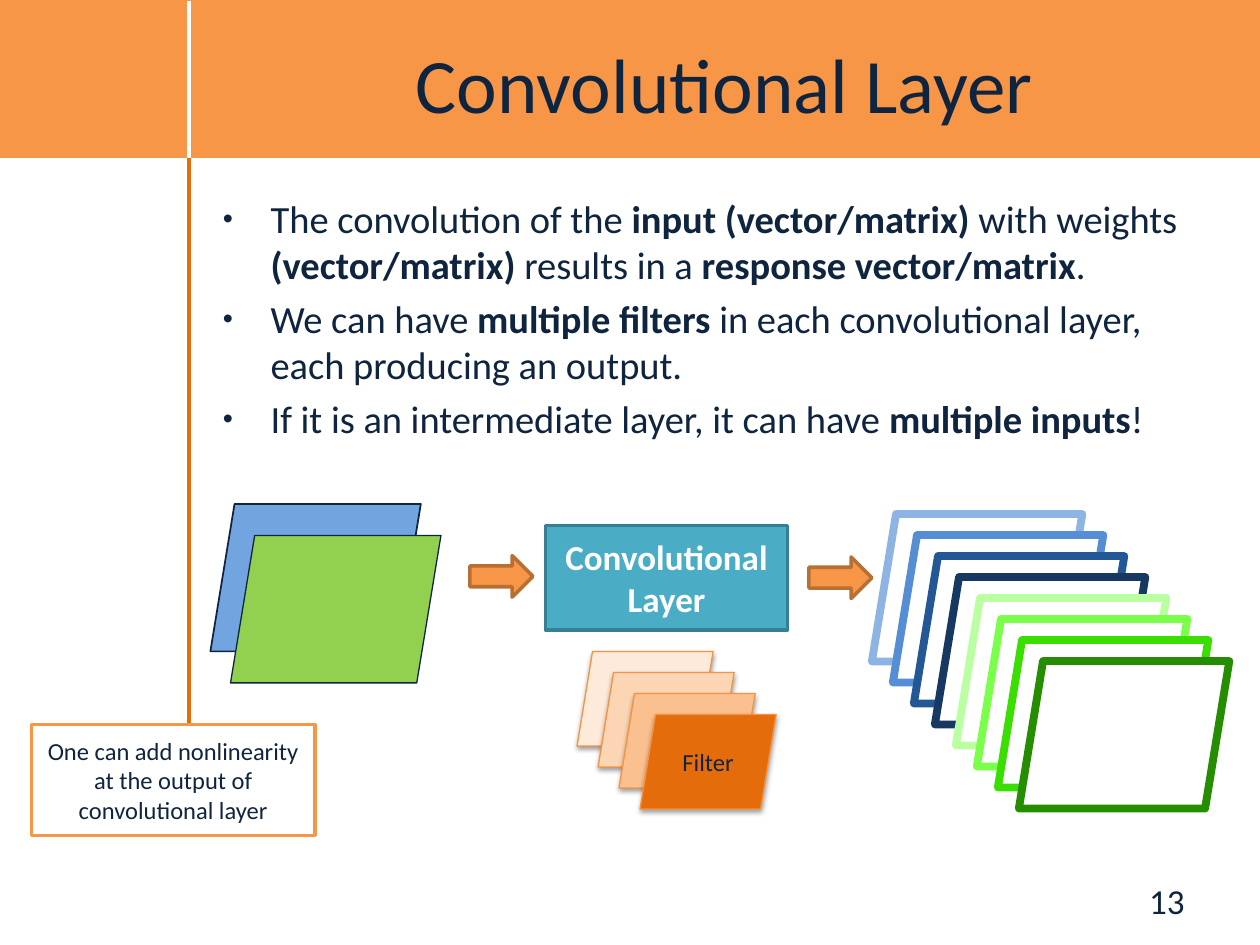
"""Build the Convolutional Layer slide."""
from dataclasses import dataclass
from typing import Optional

from lxml.etree import SubElement
from pptx import Presentation
from pptx.dml.color import RGBColor
from pptx.enum.shapes import MSO_CONNECTOR as Connector, MSO_SHAPE as Preset
from pptx.enum.text import MSO_ANCHOR as Anchor, PP_ALIGN as Align
from pptx.oxml.ns import qn
from pptx.util import Inches, Pt

NAVY = RGBColor(0x0F, 0x24, 0x3E)
WHITE = RGBColor(0xFF, 0xFF, 0xFF)
ORANGE = RGBColor(0xF7, 0x96, 0x46)
DARK_ORANGE = RGBColor(0xE4, 0x6C, 0x0A)
FILTER_EDGE = RGBColor(0xF6, 0x92, 0x40)
ARROW_EDGE = RGBColor(0xB7, 0x6F, 0x34)
TEAL = RGBColor(0x4B, 0xAC, 0xC6)
TEAL_EDGE = RGBColor(0x37, 0x7F, 0x92)
BLUE = RGBColor(0x72, 0xA4, 0xE0)
GREEN = RGBColor(0x92, 0xD0, 0x50)
FILTER_FILLS = [RGBColor.from_string(code) for code in ("FDEADA", "FCD5B5", "FAC090", "E46C0A")]
OUTPUT_EDGES = [
    RGBColor.from_string(code)
    for code in ("8EB4E3", "558ED5", "245795", "173861", "BBFFA3", "7AFF4B", "3ADE00", "258E00")
]
FONT = "Calibri"
STEP = 1 / 6
SLANT = 0.164
MAP_SIZE = (1.67, 1.17)
FILTER_SIZE = (1.08, 0.75)
BULLETS = """The convolution of the **input (vector/matrix)** with weights **(vector/matrix) **results in a **response vector/matrix**.
We can have **multiple filters **in each convolutional layer, each producing an output.
If it is an intermediate layer, it can have **multiple inputs**!"""


@dataclass(frozen=True)
class Block:
    """A filled and outlined preset shape, measured in inches and points."""

    preset: Preset
    left: float
    top: float
    width: float
    height: float
    fill: RGBColor
    edge: RGBColor
    edge_width: float
    shadow: bool = False


@dataclass(frozen=True)
class Rule:
    """A vertical line segment beside the text."""

    top: float
    bottom: float
    color: RGBColor


def add_bullet(paragraph) -> None:
    """Give a paragraph a small round bullet and a hanging indent."""
    properties = paragraph._p.get_or_add_pPr()
    properties.set("marL", str(Inches(0.38)))
    properties.set("indent", str(-Inches(0.38)))
    SubElement(properties, qn("a:buSzPct")).set("val", "75000")
    SubElement(properties, qn("a:buFont")).set("typeface", "Arial")
    SubElement(properties, qn("a:buChar")).set("char", "•")


def write_text(shape, text: str, *, size: float, color: RGBColor = NAVY, bold: bool = False,
               align: Align = Align.CENTER, anchor: Anchor = Anchor.MIDDLE,
               bullets: bool = False) -> None:
    """Write one paragraph per line; double asterisks switch bold."""
    frame = shape.text_frame
    frame.word_wrap = True
    frame.vertical_anchor = anchor
    for index, line in enumerate(text.split("\n")):
        paragraph = frame.add_paragraph() if index else frame.paragraphs[0]
        paragraph.alignment = align
        if bullets:
            paragraph.space_before = Pt(size * 0.2)
            add_bullet(paragraph)
        for position, part in enumerate(line.split("**")):
            run = paragraph.add_run()
            run.text = part
            run.font.name = FONT
            run.font.size = Pt(size)
            run.font.bold = bold or position % 2 == 1
            run.font.color.rgb = color


def add_text(slide, left: float, top: float, width: float, height: float, text: str, **style) -> None:
    """Add a text box with formatted text."""
    box = slide.shapes.add_textbox(Inches(left), Inches(top), Inches(width), Inches(height))
    write_text(box, text, **style)


def add_block(slide, block: Block, text: Optional[str] = None, **style):
    """Draw a block and its optional label."""
    shape = slide.shapes.add_shape(block.preset, Inches(block.left), Inches(block.top),
                                   Inches(block.width), Inches(block.height))
    shape.fill.solid()
    shape.fill.fore_color.rgb = block.fill
    shape.line.color.rgb = block.edge
    shape.line.width = Pt(block.edge_width)
    shape.shadow.inherit = False
    if block.preset == Preset.PARALLELOGRAM:
        shape.adjustments[0] = SLANT
    if block.shadow:
        effects = shape._element.spPr.find(qn("a:effectLst"))
        outer = SubElement(effects, qn("a:outerShdw"), blurRad=str(Pt(3.1)), dist=str(Pt(1.6)),
                           dir="5400000", rotWithShape="0")
        shade = SubElement(outer, qn("a:srgbClr"), val="000000")
        SubElement(shade, qn("a:alpha"), val="38000")
    if text:
        write_text(shape, text, **style)
    return shape


def add_rule(slide, rule: Rule) -> None:
    """Draw a vertical rule."""
    line = slide.shapes.add_connector(Connector.STRAIGHT, Inches(1.5), Inches(rule.top),
                                      Inches(1.5), Inches(rule.bottom))
    line.line.color.rgb = rule.color
    line.line.width = Pt(2.5)
    SubElement(line._element.spPr, qn("a:effectLst"))


def add_frame(slide) -> None:
    """Draw the banner, rules, title, bullets and page number."""
    add_block(slide, Block(Preset.RECTANGLE, 0, 0, 10, 1.25, ORANGE, ORANGE, 0.75))
    for rule in (Rule(1.25, 6.34, DARK_ORANGE), Rule(0.01, 1.25, WHITE)):
        add_rule(slide, rule)
    add_text(slide, 1.5, 0.03, 8.5, 1.25, "Convolutional Layer", size=44)
    add_text(slide, 1.67, 1.5, 7.83, 4.95, BULLETS, size=22, align=Align.LEFT,
             anchor=Anchor.TOP, bullets=True)
    add_text(slide, 7.17, 6.95, 2.33, 0.4, "13", size=20, align=Align.RIGHT)


def add_diagram(slide) -> None:
    """Draw the inputs, layer, filters, outputs and remark."""
    card = Preset.PARALLELOGRAM
    add_block(slide, Block(card, 1.67, 4, *MAP_SIZE, BLUE, NAVY, 1))
    add_block(slide, Block(card, 1.83, 4.25, *MAP_SIZE, GREEN, NAVY, 0.75))
    add_block(slide, Block(Preset.RECTANGLE, 4.33, 4.17, 1.92, 0.83, TEAL, TEAL_EDGE, 2),
              "Convolutional Layer", size=20, color=WHITE, bold=True)
    for index, fill in enumerate(FILTER_FILLS):
        offset = index * STEP
        label = "Filter" if index == len(FILTER_FILLS) - 1 else None
        add_block(slide, Block(card, 4.58 + offset, 5.17 + offset, *FILTER_SIZE, fill,
                               FILTER_EDGE, 0.75, shadow=True), label, size=14)
    for index, edge in enumerate(OUTPUT_EDGES):
        offset = index * STEP
        add_block(slide, Block(card, 6.92 + offset, 4.08 + offset, *MAP_SIZE, WHITE, edge, 4.5))
    for left, top in ((3.73, 4.41), (6.42, 4.42)):
        add_block(slide, Block(Preset.RIGHT_ARROW, left, top, 0.5, 0.33, ORANGE, ARROW_EDGE, 2))
    add_block(slide, Block(Preset.RECTANGLE, 0.25, 5.75, 2.25, 0.88, WHITE, ORANGE, 2),
              "One can add nonlinearity at the output of convolutional layer", size=14)


def main() -> None:
    """Create and save the presentation."""
    presentation = Presentation()
    presentation.slide_width = Inches(10)
    presentation.slide_height = Inches(7.5)
    slide = presentation.slides.add_slide(presentation.slide_layouts[6])
    add_frame(slide)
    add_diagram(slide)
    presentation.save("out.pptx")


if __name__ == "__main__":
    main()
